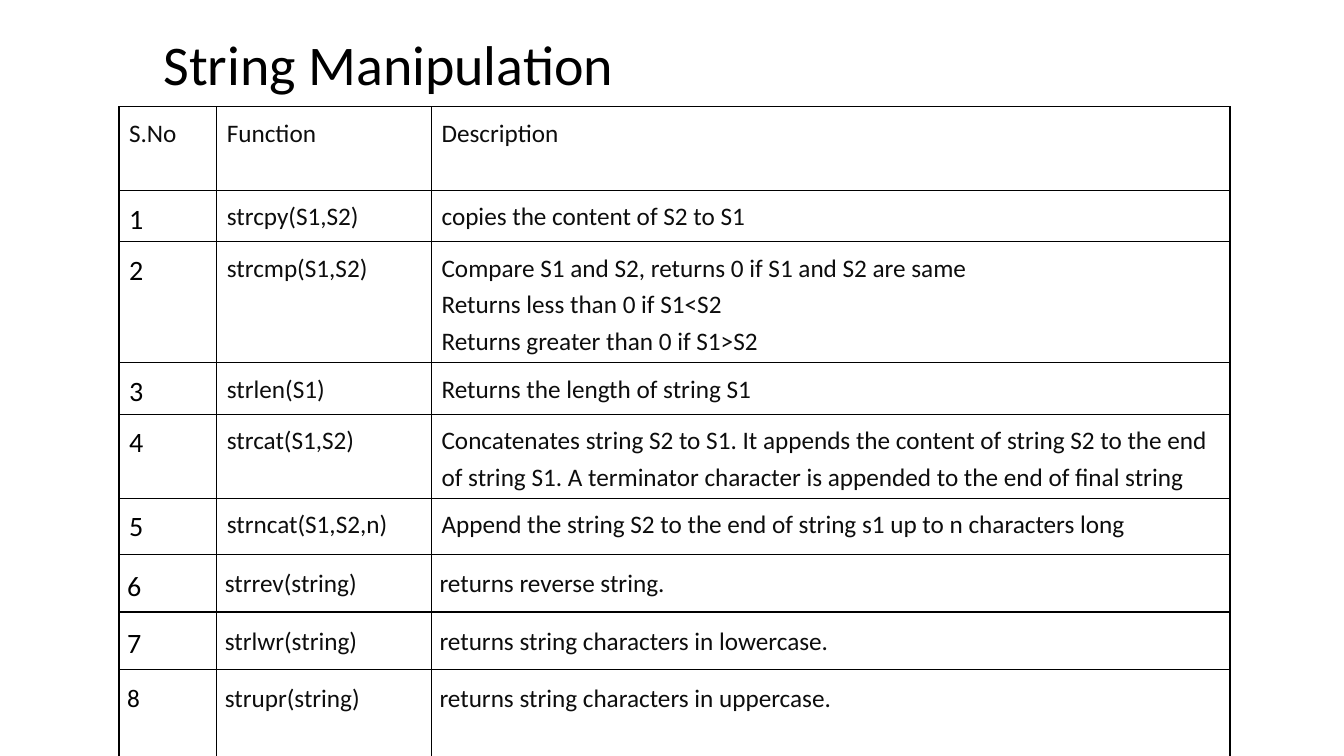
from pptx import Presentation
from pptx.dml.color import RGBColor
from pptx.enum.text import MSO_ANCHOR, MSO_AUTO_SIZE, PP_ALIGN
from pptx.oxml import parse_xml
from pptx.oxml.ns import nsdecls
from pptx.util import Inches, Pt

THEME = {
    "font": "Calibri",
    "black": "000000",
    "ink": "0D0D0D",
    "paper": "FFFFFF",
    "title": 40,
    "number": 20,
    "body": 18,
}
COLUMN_WIDTHS = [0.97, 2.13, 7.92]
ROW_HEIGHTS = [0.83, 0.51, 1.2, 0.51, 0.83, 0.56, 0.57, 0.57, 0.9]
PADDED_FROM = 6
LAST_ROW = len(ROW_HEIGHTS) - 1

FUNCTIONS = [
    ("S.No", "Function", "Description"),
    ("1", "strcpy(S1,S2)", "copies the content of S2 to S1"),
    ("2", "strcmp(S1,S2)",
     "Compare S1 and S2, returns 0 if S1 and S2 are same\n"
     "Returns less than 0 if S1<S2\n"
     "Returns greater than 0 if S1>S2"),
    ("3", "strlen(S1)", "Returns the length of string S1"),
    ("4", "strcat(S1,S2)",
     "Concatenates string S2 to S1. It appends the content of string S2 to the end "
     "of string S1. A terminator character is appended to the end of final string"),
    ("5", "strncat(S1,S2,n)",
     "Append the string S2 to the end of string s1 up to n characters long"),
    ("6", "strrev(string)", "returns reverse string."),
    ("7", "strlwr(string)", "returns string characters in lowercase."),
    ("8", "strupr(string)", "returns string characters in uppercase."),
]


def format_text(frame, size, color, spacing):
    for paragraph in frame.paragraphs:
        paragraph.alignment = PP_ALIGN.LEFT
        paragraph.line_spacing = spacing
        for run in paragraph.runs:
            for key, value in {"name": THEME["font"], "size": Pt(size), "bold": False}.items():
                setattr(run.font, key, value)
            run.font.color.rgb = RGBColor.from_string(color)


def add_borders(cell):
    for side in "LRTB":
        cell._tc.get_or_add_tcPr().append(parse_xml(
            f'<a:ln{side} {nsdecls("a")} w="{Pt(1)}"><a:solidFill>'
            f'<a:srgbClr val="{THEME["black"]}"/></a:solidFill></a:ln{side}>'))


deck = Presentation()
deck.slide_width, deck.slide_height = Inches(13.33), Inches(7.5)
slide = deck.slides.add_slide(deck.slide_layouts[5])

heading = slide.shapes.title
for key, value in {"left": 1.52, "top": 0.28, "width": 8.17, "height": 0.77}.items():
    setattr(heading, key, Inches(value))
heading.text_frame.text = "String Manipulation"
heading.text_frame.auto_size = MSO_AUTO_SIZE.NONE
heading.text_frame.vertical_anchor = MSO_ANCHOR.MIDDLE
format_text(heading.text_frame, THEME["title"], THEME["black"], 0.9)

function_table = slide.shapes.add_table(
    len(ROW_HEIGHTS), len(COLUMN_WIDTHS), Inches(1.18), Inches(1.06),
    Inches(sum(COLUMN_WIDTHS)), Inches(sum(ROW_HEIGHTS))).table
function_table.first_row = function_table.horz_banding = False
for column, width in zip(function_table.columns, COLUMN_WIDTHS):
    column.width = Inches(width)

for row_index, (height, entries) in enumerate(zip(ROW_HEIGHTS, FUNCTIONS)):
    function_table.rows[row_index].height = Inches(height)
    for column_index, entry in enumerate(entries):
        cell = function_table.cell(row_index, column_index)
        cell.text_frame.text = entry
        numbered = column_index == 0 and row_index > 0
        size = THEME["number" if numbered and row_index < LAST_ROW else "body"]
        format_text(cell.text_frame, size, THEME["black" if numbered else "ink"], 1.2)
        if row_index >= PADDED_FROM:
            for side in ("left", "right", "top", "bottom"):
                setattr(cell, f"margin_{side}", Inches(0.08))
        add_borders(cell)
        cell.fill.solid()
        cell.fill.fore_color.rgb = RGBColor.from_string(THEME["paper"])

deck.save("out.pptx")
